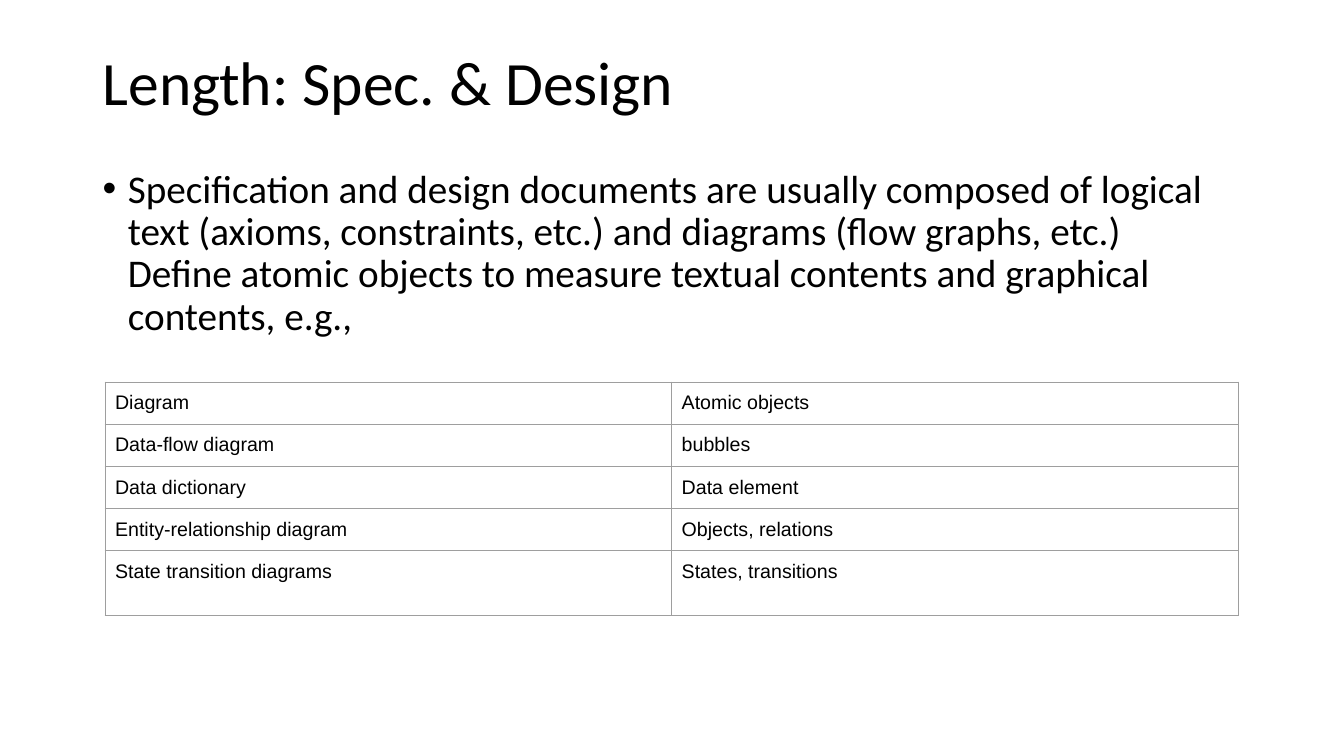
from dataclasses import dataclass

from lxml import etree
from pptx import Presentation
from pptx.dml.color import RGBColor
from pptx.enum.text import MSO_ANCHOR, MSO_AUTO_SIZE, PP_ALIGN
from pptx.oxml.ns import qn
from pptx.util import Cm, Pt

MIDDLE, TOP = MSO_ANCHOR.MIDDLE, MSO_ANCHOR.TOP
LEFT = PP_ALIGN.LEFT
NO_AUTOFIT = MSO_AUTO_SIZE.NONE

TITLE = "Length: Spec. & Design"
BODY_LINES = [
    "Specification and design documents are usually composed of logical "
    "text (axioms, constraints, etc.) and diagrams (flow graphs, etc.)",
    "Define atomic objects to measure textual contents and graphical contents, e.g.,",
]
ATOMIC_OBJECTS = [
    ("Diagram", "Atomic objects"),
    ("Data-flow diagram", "bubbles"),
    ("Data dictionary", "Data element"),
    ("Entity-relationship diagram", "Objects, relations"),
    ("State transition diagrams", "States, transitions"),
]


@dataclass(frozen=True)
class Theme:
    text: str = "000000"
    border: str = "9E9E9E"
    heading_font: str = "Calibri"
    table_font: str = "Arial"
    title_size: int = 44
    body_size: int = 28
    table_size: int = 14
    border_width: float = 0.75


THEME = Theme()
SLIDE_WIDTH, SLIDE_HEIGHT = Cm(33.87), Cm(19.05)
TEXT_LEFT, TEXT_WIDTH = Cm(2.33), Cm(29.21)
TABLE_LEFT, TABLE_TOP = Cm(2.65), Cm(9.63)
COLUMN_WIDTH, ROW_HEIGHT, LAST_ROW_HEIGHT = Cm(14.28), Cm(1.06), Cm(1.63)
BULLET_INDENT = Cm(0.64)
CELL_MARGIN = Cm(0.25)


def add_span(para, text, font, size):
    span = para.add_run()
    span.text = text
    span.font.name = font
    span.font.size = Pt(size)
    span.font.color.rgb = RGBColor.from_string(THEME.text)


def prepare_placeholder(box, top, height, anchor):
    """Move a placeholder into the text column and return its first paragraph."""
    box.left, box.top, box.width, box.height = TEXT_LEFT, top, TEXT_WIDTH, height
    frame = box.text_frame
    frame.word_wrap = True
    frame.auto_size = NO_AUTOFIT
    frame.vertical_anchor = anchor
    para = frame.paragraphs[0]
    para.alignment = LEFT
    para.line_spacing = 0.9
    para.space_before = Pt(0)
    return para


def add_cell_borders(cell):
    properties = cell._tc.get_or_add_tcPr()
    for position, side in enumerate(("a:lnL", "a:lnR", "a:lnT", "a:lnB")):
        line = etree.Element(qn(side), w=str(int(Pt(THEME.border_width))))
        fill = etree.SubElement(line, qn("a:solidFill"))
        etree.SubElement(fill, qn("a:srgbClr"), val=THEME.border)
        properties.insert(position, line)


def fill_cell(cell, text):
    cell.fill.background()
    cell.margin_left = cell.margin_right = CELL_MARGIN
    cell.margin_top = cell.margin_bottom = CELL_MARGIN
    add_span(cell.text_frame.paragraphs[0], text, THEME.table_font, THEME.table_size)
    add_cell_borders(cell)


def add_object_table(page):
    row_count, column_count = len(ATOMIC_OBJECTS), len(ATOMIC_OBJECTS[0])
    height = ROW_HEIGHT * (row_count - 1) + LAST_ROW_HEIGHT
    table = page.shapes.add_table(
        row_count, column_count, TABLE_LEFT, TABLE_TOP,
        COLUMN_WIDTH * column_count, height,
    ).table
    table.first_row = table.horz_banding = False
    for row, texts in zip(table.rows, ATOMIC_OBJECTS):
        row.height = ROW_HEIGHT
        for cell, text in zip(row.cells, texts):
            fill_cell(cell, text)
    table.rows[row_count - 1].height = LAST_ROW_HEIGHT


def main():
    deck = Presentation()
    deck.slide_width, deck.slide_height = SLIDE_WIDTH, SLIDE_HEIGHT
    page = deck.slides.add_slide(deck.slide_layouts[1])

    heading = prepare_placeholder(page.shapes.title, Cm(1.02), Cm(2.26), MIDDLE)
    add_span(heading, TITLE, THEME.heading_font, THEME.title_size)

    bullet = prepare_placeholder(page.placeholders[1], Cm(4.14), Cm(5.66), TOP)
    properties = bullet._p.get_or_add_pPr()
    properties.set("marL", str(BULLET_INDENT))
    properties.set("indent", str(-BULLET_INDENT))
    for number, line in enumerate(BODY_LINES):
        if number:
            bullet.add_line_break()
        add_span(bullet, line, THEME.heading_font, THEME.body_size)

    add_object_table(page)
    deck.save("out.pptx")


if __name__ == "__main__":
    main()
